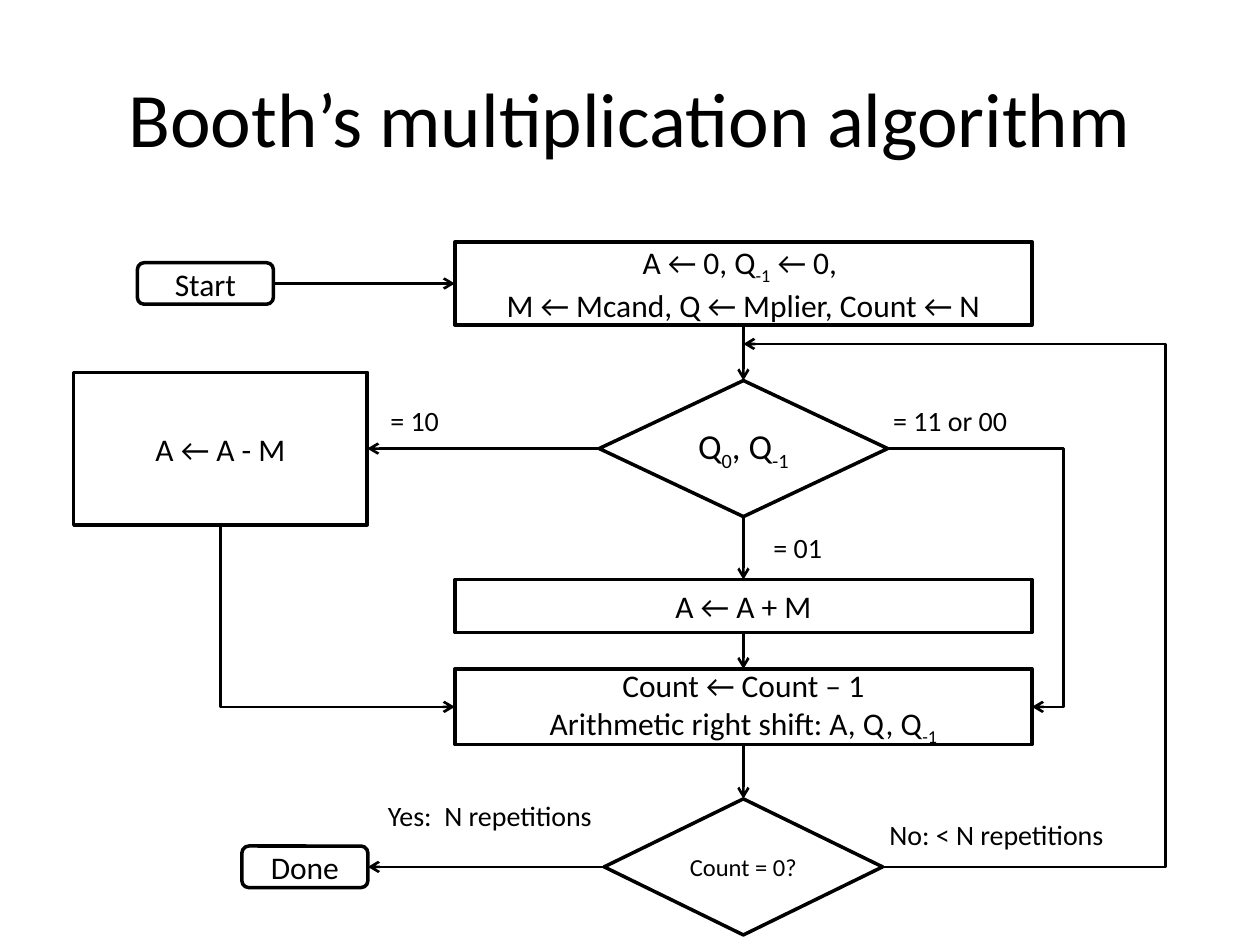
from lxml import etree
from pptx import Presentation
from pptx.dml.color import RGBColor
from pptx.enum.shapes import MSO_CONNECTOR, MSO_SHAPE
from pptx.enum.text import MSO_ANCHOR, PP_ALIGN
from pptx.oxml.ns import qn
from pptx.util import Inches, Pt

PROCESS = MSO_SHAPE.FLOWCHART_PROCESS
DECISION = MSO_SHAPE.FLOWCHART_DECISION
TERMINAL = MSO_SHAPE.FLOWCHART_ALTERNATE_PROCESS
STRAIGHT, ELBOW = MSO_CONNECTOR.STRAIGHT, MSO_CONNECTOR.ELBOW
LEFT, CENTER = PP_ALIGN.LEFT, PP_ALIGN.CENTER
MIDDLE = MSO_ANCHOR.MIDDLE
TOP_SITE, LEFT_SITE, BOTTOM_SITE, RIGHT_SITE = range(4)

# Grid: centre lines of columns and rows, in inches
MAIN_X, MINUS_X, START_X, DONE_X = 5.9, 1.75, 1.63, 2.42
INIT_Y, TEST_Y, PLUS_Y, SHIFT_Y, END_Y = 2.25, 3.56, 4.81, 5.61, 6.88
LOOP_Y, LOOP_X, SKIP_X = 2.73, 9.25, 8.44
WIDE = 4.58
LABEL_SIZE = (2.01, 0.33)
INK = "000000"


def colour(value):
    return RGBColor.from_string(value)


def write(shape, lines, size, align):
    """Fill a shape with lines; every second part between bars is a subscript."""
    frame = shape.text_frame
    frame.word_wrap = True
    frame.vertical_anchor = MIDDLE
    style = {"name": "Calibri", "size": Pt(size)}
    for index, line in enumerate(lines):
        para = frame.paragraphs[0] if index == 0 else frame.add_paragraph()
        para.alignment = align
        for position, part in enumerate(line.split("|")):
            if not part:
                continue
            span = para.add_run()
            span.text = part
            for name, value in style.items():
                setattr(span.font, name, value)
            span.font.color.rgb = colour(INK)
            if position % 2:
                span.font._element.set("baseline", "-25000")


def add_text(page, left, top, width, height, text, size, align=LEFT):
    box = page.shapes.add_textbox(*map(Inches, (left, top, width, height)))
    write(box, [text], size, align)


def add_step(page, kind, x, y, width, height, lines, size=18):
    """Draw an outlined flowchart step centred on x, y."""
    step = page.shapes.add_shape(
        kind, *map(Inches, (x - width / 2, y - height / 2, width, height)))
    step.shadow.inherit = False
    step.fill.background()
    step.line.color.rgb = colour(INK)
    step.line.width = Pt(2)
    write(step, lines, size, CENTER)
    return step


def add_arrow(page, kind, start=(0, 0), end=(0, 0)):
    arrow = page.shapes.add_connector(kind, *map(Inches, (*start, *end)))
    arrow.line.color.rgb = colour(INK)
    arrow.line.width = Pt(1.5)
    etree.SubElement(arrow.line._get_or_add_ln(), qn("a:tailEnd"), type="arrow")
    etree.SubElement(arrow._element.spPr, qn("a:effectLst"))
    return arrow


def link(page, source, source_site, target, target_site):
    """Join two steps with a straight arrow."""
    arrow = add_arrow(page, STRAIGHT)
    arrow.begin_connect(source, source_site)
    arrow.end_connect(target, target_site)


def add_detour(page, start, end, turn_x):
    """Draw an arrow that leaves and arrives sideways, with its riser at turn_x."""
    geometry = add_arrow(page, ELBOW, start, end)._element.spPr.find(qn("a:prstGeom"))
    share = (turn_x - start[0]) / (end[0] - start[0])
    guides = geometry.find(qn("a:avLst"))
    etree.SubElement(guides, qn("a:gd"), name="adj1", fmla=f"val {round(share * 100000)}")


def add_corner(page, start, end):
    """Draw an arrow that goes down and then right, as a turned one-bend connector."""
    middle_x, middle_y = (start[0] + end[0]) / 2, (start[1] + end[1]) / 2
    half_x, half_y = (end[0] - start[0]) / 2, (end[1] - start[1]) / 2
    arrow = add_arrow(page, ELBOW, (middle_x + half_y, middle_y - half_x),
                      (middle_x - half_y, middle_y + half_x))
    properties = arrow._element.spPr
    properties.find(qn("a:prstGeom")).set("prst", "bentConnector2")
    properties.find(qn("a:xfrm")).set("rot", str(270 * 60000))


def main():
    deck = Presentation()
    deck.slide_width, deck.slide_height = Inches(10), Inches(7.5)
    page = deck.slides.add_slide(deck.slide_layouts[6])

    add_text(page, 0.5, 0.3, 9, 1.25, "Booth’s multiplication algorithm", 44, CENTER)

    # Steps
    start = add_step(page, TERMINAL, START_X, INIT_Y, 1.08, 0.33, ["Start"])
    init = add_step(page, PROCESS, MAIN_X, INIT_Y, WIDE, 0.66,
                    ["A ← 0, Q|-1| ← 0, ", "M ← Mcand, Q ← Mplier, Count ← N"])
    test = add_step(page, DECISION, MAIN_X, TEST_Y, 2.29, 1.08, ["Q|0|, Q|-1"], 20)
    minus = add_step(page, PROCESS, MINUS_X, TEST_Y, 2.33, 1.21, ["A ← A - M"])
    plus = add_step(page, PROCESS, MAIN_X, PLUS_Y, WIDE, 0.42, ["A ← A + M"])
    shift = add_step(page, PROCESS, MAIN_X, SHIFT_Y, WIDE, 0.6,
                     ["Count ← Count – 1", "Arithmetic right shift: A, Q, Q|-1"])
    finish = add_step(page, DECISION, MAIN_X, END_Y, 2.21, 1.08, ["Count = 0?"], 14)
    done = add_step(page, TERMINAL, DONE_X, END_Y, 1, 0.33, ["Done"])

    # Straight arrows: down the main column, then sideways
    column = [init, test, plus, shift, finish]
    for upper, lower in zip(column, column[1:]):
        link(page, upper, BOTTOM_SITE, lower, TOP_SITE)
    link(page, start, RIGHT_SITE, init, LEFT_SITE)
    for decision, target in ((test, minus), (finish, done)):
        link(page, decision, LEFT_SITE, target, RIGHT_SITE)

    # Bent arrows: subtract branch, skip branch and loop back
    add_corner(page, (MINUS_X, 4.17), (MAIN_X - WIDE / 2, SHIFT_Y))
    add_detour(page, (7.04, TEST_Y), (MAIN_X + WIDE / 2, SHIFT_Y), SKIP_X)
    add_detour(page, (7, END_Y), (MAIN_X, LOOP_Y), LOOP_X)

    # Branch labels
    for left, top, text in (
        (3, 3.17, "= 10"),
        (6.99, 3.17, "= 11 or 00"),
        (6.04, 4.18, "= 01"),
        (2.98, 6.31, "Yes:  N repetitions"),
        (6.96, 6.46, "No: < N repetitions"),
    ):
        add_text(page, left, top, *LABEL_SIZE, text, 16)

    deck.save("out.pptx")


if __name__ == "__main__":
    main()
